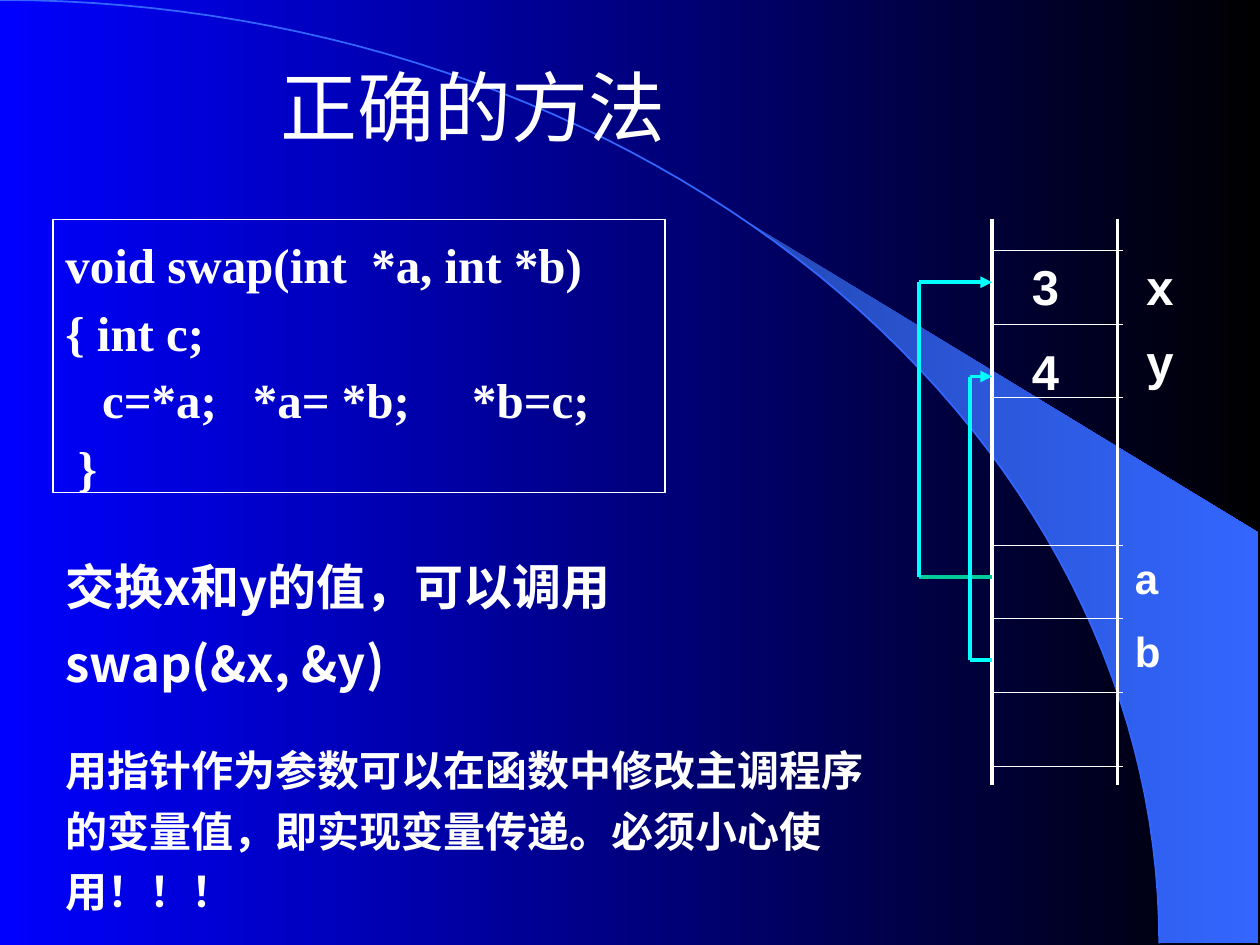
import math
from dataclasses import dataclass

from lxml import etree
from pptx import Presentation
from pptx import util as u
from pptx.dml.color import RGBColor
from pptx.enum import shapes, text
from pptx.oxml.ns import qn

WHITE, CYAN, GREEN, BLUE = "FFFFFF", "00FFFF", "00CC99", "3366FF"
CJK = "Noto Sans CJK SC"
ARC_WIDTH, ARC_HEIGHT = 23.37, 19.02
STACK_LEFT, STACK_RIGHT, STACK_TOP, STACK_BOTTOM = 20.0, 22.53, 4.42, 15.82
ROW_TOP, ROW_HEIGHT = 5.05, 1.485


@dataclass
class Label:
    """A text box: words, place in cm and format."""
    words: str
    left: float
    top: float
    width: float
    height: float
    size: float = 28
    font: str = "Arial"
    line_spacing: float = 1.0
    space_before: float = 0
    inset: float = 0.25


@dataclass
class Pointer:
    """An arrow path from a pointer cell to the variable it refers to."""
    x: float
    start_y: float
    end_y: float
    first_color: str


LABELS = [
    Label("3", STACK_LEFT, 5.05, 2.54, 1.45, inset=0.8),
    Label("4", STACK_LEFT, 6.76, 2.54, 1.45, inset=0.8),
    Label("x\ny", 22.86, 5.05, 1.24, 3.0, space_before=9),
    Label("a\nb", 22.63, 11.0, 0.84, 2.79, size=24, space_before=13),
    Label("交换x和y的值，可以调用swap(&x, &y)", 1.07, 10.74, 14.17, 3.35,
          font=CJK, line_spacing=1.3),
    Label("用指针作为参数可以在函数中修改主调程序的变量值，即实现变量传递。必须小心使用！！！",
          1.07, 14.68, 16.76, 3.91, size=24, font=CJK, line_spacing=1.2),
]
POINTERS = [Pointer(18.52, 11.63, 5.69, GREEN), Pointer(19.56, 13.31, 7.59, CYAN)]
CODE = "void swap(int  *a, int *b)\n{ int c;\n\tc=*a;\t*a= *b;\t*b=c;\n\t}"
CODE_TABS = {2: (0.74, 3.78, 8.2), 3: (0.25,)}


def color(value):
    """Turn a hex string into a colour."""
    return RGBColor.from_string(value)


def write(frame, words, *, size, font, bold=True, line_spacing=1.0,
          space_before=0, inset=0.25):
    """Fill a text frame, one paragraph for each line of words."""
    frame.word_wrap = True
    frame.auto_size = text.MSO_AUTO_SIZE.NONE
    frame.vertical_anchor = text.MSO_ANCHOR.TOP
    frame.margin_left, frame.margin_right = u.Cm(inset), u.Cm(0.25)
    frame.margin_top = frame.margin_bottom = u.Cm(0.13)
    for index, line in enumerate(words.split("\n")):
        paragraph = frame.add_paragraph() if index else frame.paragraphs[0]
        paragraph.alignment = text.PP_ALIGN.LEFT
        paragraph.line_spacing = line_spacing
        paragraph.space_before = u.Pt(space_before if index else 0)
        run = paragraph.add_run()
        run.text = line
        run.font.size, run.font.bold, run.font.name = u.Pt(size), bold, font
        run.font.color.rgb = color(WHITE)
        east_asian = etree.SubElement(run.font._element, qn("a:ea"))
        east_asian.set("typeface", CJK)


def set_tabs(paragraph, stops):
    """Give a paragraph left tab stops, in cm."""
    tab_list = etree.SubElement(paragraph._p.get_or_add_pPr(), qn("a:tabLst"))
    for stop in stops:
        etree.SubElement(tab_list, qn("a:tab"), pos=str(u.Cm(stop)), algn="l")


def set_gradient(fill, first, last):
    """Set a left-to-right gradient of two colours."""
    fill.gradient()
    fill.gradient_angle = 0
    for stop, value, position in zip(fill.gradient_stops, (first, last), (0, 1)):
        stop.color.rgb = color(value)
        stop.position = position


def add_line(slide, start, end, value, width, arrow=False):
    """Draw a straight line between two points in cm."""
    line = slide.shapes.add_connector(
        shapes.MSO_CONNECTOR.STRAIGHT, *(u.Cm(n) for n in (*start, *end)))
    line.line.color.rgb = color(value)
    line.line.width = u.Pt(width)
    if arrow:
        etree.SubElement(line.line._get_or_add_ln(), qn("a:tailEnd"), type="triangle")
    etree.SubElement(line._element.spPr, qn("a:effectLst"))


def arc_points(start, steps=60):
    """Points in cm on the quarter ellipse, from angle start to its foot."""
    angles = [start + (math.pi / 2 - start) * n / steps for n in range(steps + 1)]
    return [(ARC_WIDTH * math.sin(a), ARC_HEIGHT * (1 - math.cos(a))) for a in angles]


def add_outline(slide, points, close):
    """Draw a freeform through points in cm."""
    points = [(u.Cm(x), u.Cm(y)) for x, y in points]
    builder = slide.shapes.build_freeform(*points[0])
    builder.add_line_segments(points[1:], close=close)
    shape = builder.convert_to_shape()
    shape.shadow.inherit = False
    return shape


def add_backdrop(slide):
    """Draw the gradient background, the wedge and the arc."""
    set_gradient(slide.background.fill, "0000FF", "000000")
    corners = [(25.37, ARC_HEIGHT), (25.37, 10.74)]
    wedge = add_outline(slide, arc_points(math.asin(0.64)) + corners, True)
    set_gradient(wedge.fill, "2449B6", BLUE)
    wedge.line.fill.background()
    arc = add_outline(slide, arc_points(0), False)
    arc.fill.background()
    arc.line.color.rgb = color(BLUE)
    arc.line.width = u.Pt(1)


def add_code(slide):
    """Draw the framed function."""
    box = slide.shapes.add_shape(shapes.MSO_SHAPE.RECTANGLE, u.Cm(1.07), u.Cm(4.42),
                                 u.Cm(12.34), u.Cm(5.51))
    box.shadow.inherit = False
    box.fill.background()
    box.line.color.rgb = color(WHITE)
    box.line.width = u.Pt(0.75)
    write(box.text_frame, CODE, size=28, font="Times New Roman", line_spacing=1.15)
    for index, stops in CODE_TABS.items():
        set_tabs(box.text_frame.paragraphs[index], stops)


def add_stack(slide):
    """Draw the memory cells and the pointers between them."""
    for x in (STACK_LEFT, STACK_RIGHT):
        add_line(slide, (x, STACK_TOP), (x, STACK_BOTTOM), WHITE, 2)
    for row in (0, 1, 2, 4, 5, 6, 7):
        y = ROW_TOP + row * ROW_HEIGHT
        add_line(slide, (STACK_LEFT, y), (STACK_RIGHT + 0.1, y), WHITE, 0.75)
    for pointer in POINTERS:
        low, high = (pointer.x, pointer.start_y), (pointer.x, pointer.end_y)
        add_line(slide, (STACK_LEFT, pointer.start_y), low, pointer.first_color, 2.25)
        add_line(slide, low, high, CYAN, 2.25)
        add_line(slide, high, (STACK_LEFT, pointer.end_y), CYAN, 2.25, arrow=True)


def add_label(slide, label):
    """Draw one text box."""
    box = slide.shapes.add_textbox(*(u.Cm(n) for n in (
        label.left, label.top, label.width, label.height)))
    write(box.text_frame, label.words, size=label.size, font=label.font,
          line_spacing=label.line_spacing, space_before=label.space_before,
          inset=label.inset)


def add_title(slide):
    """Place and format the title in front of the backdrop."""
    title = slide.shapes.title
    title.left, title.top = u.Cm(5.41), u.Cm(1.07)
    title.width, title.height = u.Cm(15.9), u.Cm(2.11)
    write(title.text_frame, "正确的方法", size=44, font="Arial", bold=False)
    title._element.getparent().append(title._element)


def main():
    """Build and save the slide."""
    presentation = Presentation()
    presentation.slide_width, presentation.slide_height = u.Cm(25.4), u.Cm(19.05)
    slide = presentation.slides.add_slide(presentation.slide_layouts[5])
    add_backdrop(slide)
    add_code(slide)
    add_stack(slide)
    for label in LABELS:
        add_label(slide, label)
    add_title(slide)
    presentation.save("out.pptx")


main()
